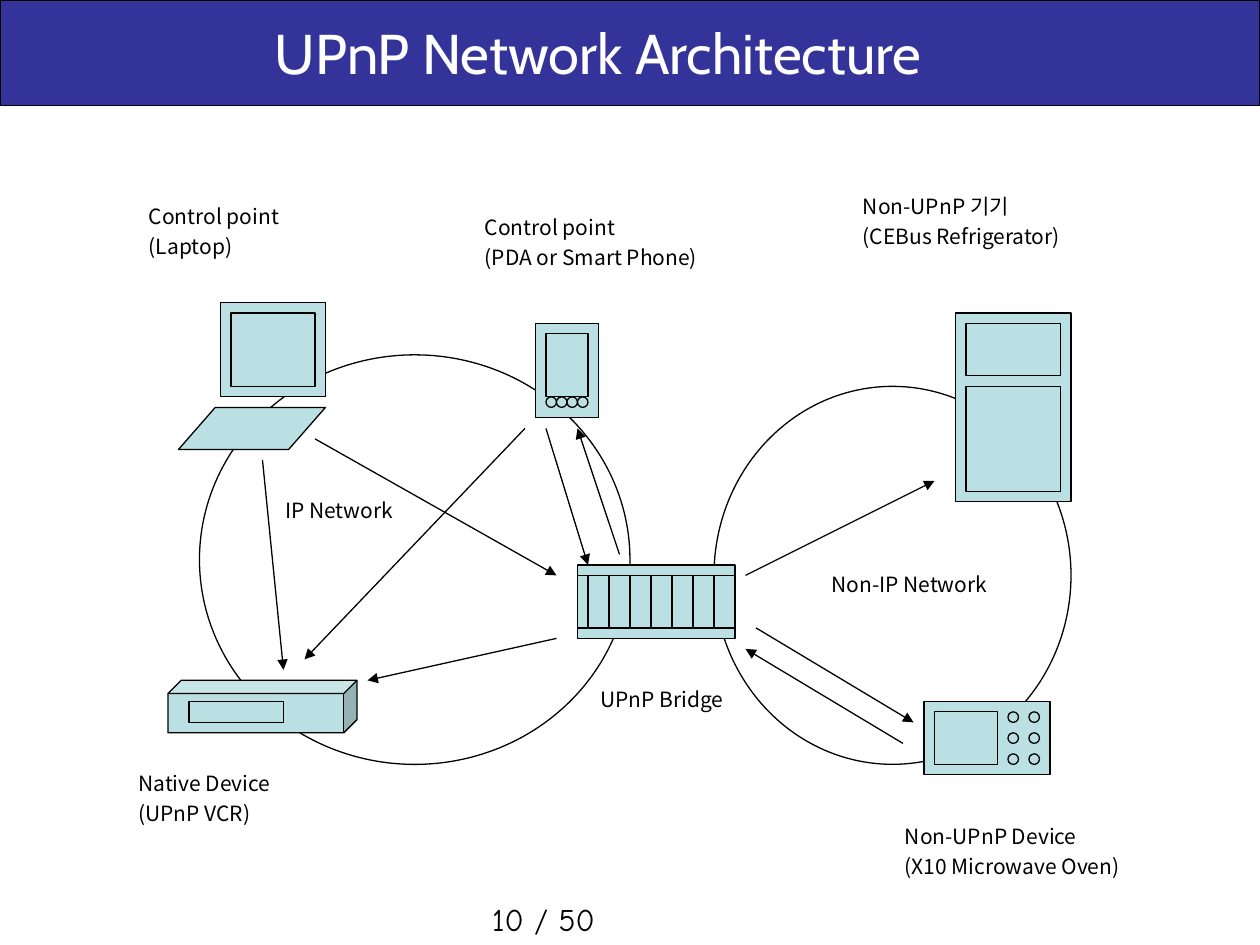
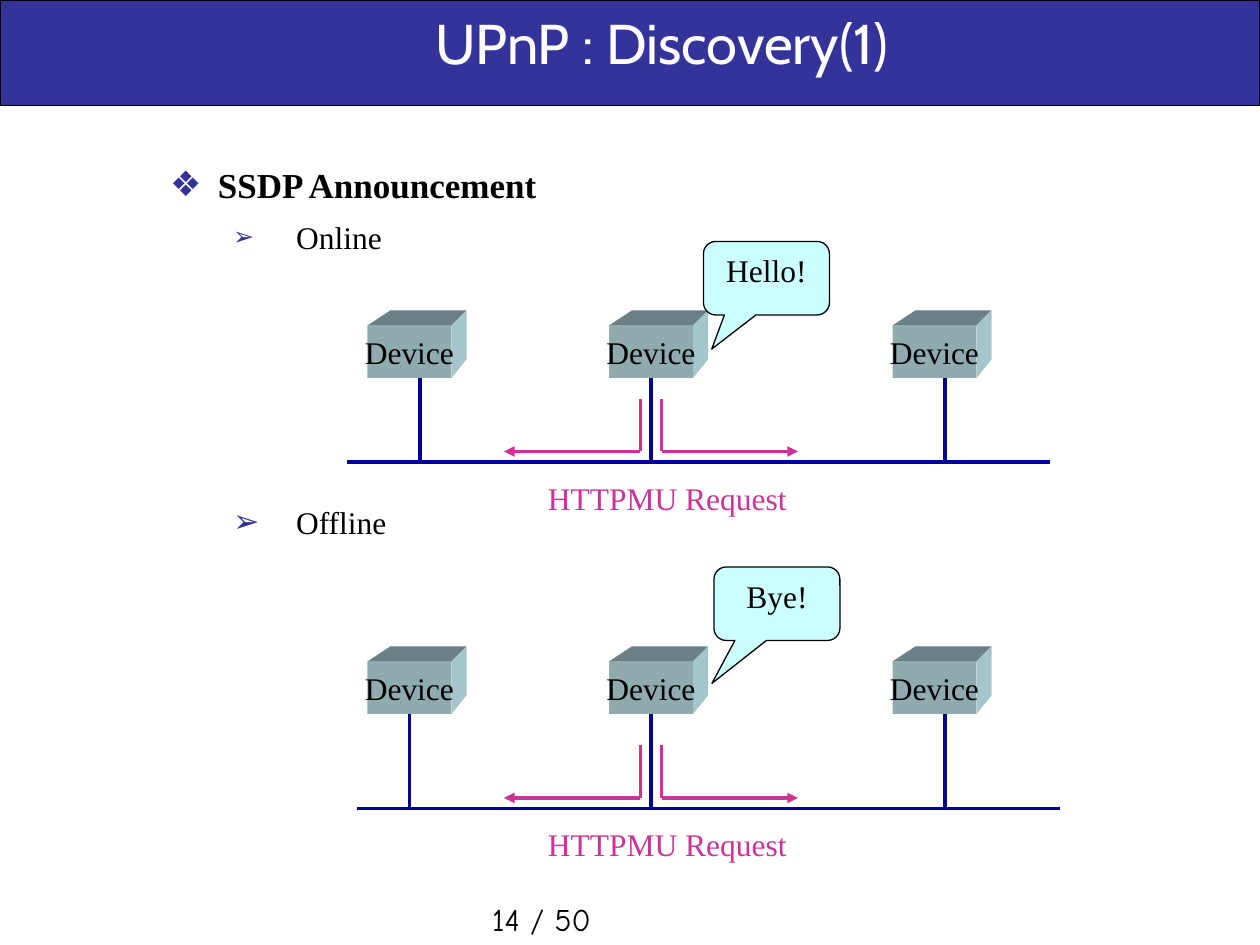
from dataclasses import dataclass
from typing import Any

from lxml import etree
from pptx import Presentation
from pptx import util as u
from pptx.dml.color import RGBColor
from pptx.enum import shapes, text
from pptx.oxml.ns import qn

# The slide is a grid of 120 columns by 90 rows, twelve cells to the inch
COLS, ROWS = 120, 90
CELLS_PER_INCH = 12
BLACK, WHITE = "000000", "FFFFFF"
NAVY, BUS_BLUE, PINK = "333399", "000099", "CC3399"
DEVICE_BLUE, BUBBLE = "BBE0E3", "CCFFFF"
FRONT, TOP, SIDE = "8FABAE", "6B8084", "A4C5C9"
SANS, SERIF = "Noto Sans CJK KR", "Times New Roman"
KIND = shapes.MSO_SHAPE
CENTER = text.PP_ALIGN.CENTER
MIDDLE = text.MSO_ANCHOR.MIDDLE


def cells(count):
    return u.Emu(round(count * u.Inches(1) / CELLS_PER_INCH))


def color(value):
    return RGBColor.from_string(value)


def paint(shape, fill, line):
    shape.shadow.inherit = False
    if fill:
        shape.fill.solid()
        shape.fill.fore_color.rgb = color(fill)
    else:
        shape.fill.background()
    if line:
        shape.line.color.rgb = color(line)
        shape.line.width = u.Pt(0.75)
    else:
        shape.line.fill.background()


def add_run(paragraph, words, size=12, font=SANS, ink=BLACK, bold=False):
    run = paragraph.add_run()
    run.text = words
    run.font.size, run.font.bold, run.font.name = u.Pt(size), bold, font
    run.font.color.rgb = color(ink)
    east_asian = etree.SubElement(run.font._element, qn("a:ea"))
    east_asian.set("typeface", font)


def write(frame, words, align=text.PP_ALIGN.LEFT, anchor=text.MSO_ANCHOR.TOP,
          wrap=True, gap=3, **style):
    """Write one paragraph for each line of the words."""
    frame.word_wrap = wrap
    frame.auto_size = text.MSO_AUTO_SIZE.NONE
    frame.vertical_anchor = anchor
    for index, line in enumerate(words.split("\n")):
        paragraph = frame.add_paragraph() if index else frame.paragraphs[0]
        paragraph.alignment = align
        paragraph.space_before = u.Pt(gap if index else 0)
        add_run(paragraph, line, **style)


def place(shape, col, row, width, height):
    shape.left, shape.top = cells(col), cells(row)
    shape.width, shape.height = cells(width), cells(height)


@dataclass
class Region:
    """A part of a slide whose contents are measured from its corner."""
    slide: Any
    col: float = 0
    row: float = 0

    def inner(self, col, row):
        return Region(self.slide, self.col + col, self.row + row)

    def box(self, col, row, width, height):
        return (cells(self.col + col), cells(self.row + row),
                cells(width), cells(height))

    def shape(self, kind, *box, fill=DEVICE_BLUE, line=BLACK, adjust=()):
        shape = self.slide.shapes.add_shape(kind, *self.box(*box))
        paint(shape, fill, line)
        for index, value in enumerate(adjust):
            shape.adjustments[index] = value
        return shape

    def rect(self, *box, **style):
        return self.shape(KIND.RECTANGLE, *box, **style)

    def oval(self, *box, **style):
        return self.shape(KIND.OVAL, *box, **style)

    def face(self, points, fill):
        corners = [(cells(self.col + x), cells(self.row + y)) for x, y in points]
        builder = self.slide.shapes.build_freeform(*corners[0], scale=1.0)
        builder.add_line_segments(corners[1:], close=True)
        paint(builder.convert_to_shape(), fill, None)

    def label(self, words, *box, **style):
        frame = self.slide.shapes.add_textbox(*self.box(*box)).text_frame
        write(frame, words, **style)

    def line(self, x1, y1, x2, y2, ink=BLACK, weight=0.75, arrow=False):
        line = self.slide.shapes.add_connector(
            shapes.MSO_CONNECTOR.STRAIGHT,
            cells(self.col + x1), cells(self.row + y1),
            cells(self.col + x2), cells(self.row + y2))
        line.line.color.rgb = color(ink)
        line.line.width = u.Pt(weight)
        if arrow:
            etree.SubElement(line.line._ln, qn("a:tailEnd")).set("type", "triangle")
        etree.SubElement(line._element.spPr, qn("a:effectLst"))
        return line


# Shared parts: title band, title and page number
def add_band(prs, slide):
    band = Region(slide).rect(0, 0, COLS, 10.08, fill=NAVY)
    prs.slide_master.shapes.element.insert(2, band.element)


def start_slide(prs, layout, title, title_box, page):
    slide = prs.slides.add_slide(prs.slide_layouts[layout])
    place(slide.shapes.title, *title_box)
    write(slide.shapes.title.text_frame, title, align=CENTER, anchor=MIDDLE,
          size=32, font="Cabin", ink=WHITE)
    Region(slide).label(f"{page} / 50", 45.7, 85.1, 28, 4.3,
                        size=18, font="Comic Neue")
    return slide


# Appliances of the network diagram
def draw_laptop(at):
    at.rect(4, 0, 10, 9)
    at.rect(5, 1, 8, 7)
    at.shape(KIND.PARALLELOGRAM, 0, 10, 14, 4, adjust=[0.875])


def draw_pda(at):
    at.rect(0, 0, 6, 9)
    at.rect(1, 1, 4, 6)
    for button in range(4):
        at.oval(1 + button, 7, 1, 1)


def draw_bridge(at):
    at.rect(0, 0, 15, 7)
    for edge in (1, 6):
        at.line(0, edge, 15, edge)
    for slot in range(1, 15, 2):
        at.line(slot, 1, slot, 6)


def draw_refrigerator(at):
    at.rect(0, 0, 11, 18)
    at.rect(1, 1, 9, 5)
    at.rect(1, 7, 9, 10)


def draw_microwave(at):
    at.rect(0, 0, 12, 7)
    at.rect(1, 1, 6, 5)
    for row in (1, 3, 5):
        for col in (8, 10):
            at.oval(col, row, 1, 1)


def draw_vcr(at):
    at.shape(KIND.CUBE, 0, 0, 18, 5, adjust=[0.25])
    at.rect(2, 2, 9, 2)


def draw_network(at):
    # Networks
    at.oval(19, 34, 41, 39, fill=None)
    at.oval(68, 37, 34, 36, fill=None)

    # Appliances
    for draw, col, row in ((draw_laptop, 17, 29), (draw_pda, 51, 31),
                           (draw_bridge, 55, 54), (draw_refrigerator, 91, 30),
                           (draw_microwave, 88, 67), (draw_vcr, 16, 65)):
        draw(at.inner(col, row))

    # Messages
    for message in ((25, 44, 27, 64), (30, 42, 53, 55), (52, 41, 56, 54),
                    (59, 53, 55, 41), (53, 61, 35, 65), (50, 41, 29, 63),
                    (72, 60, 87, 69), (86, 71, 71, 62), (71, 55, 89, 46)):
        at.line(*message, arrow=True)

    # Labels
    for words, col, row, width in (
            ("IP Network", 26, 47, 17),
            ("Non-IP Network", 78, 54, 20),
            ("Control point\n(Laptop)", 13, 19, 17),
            ("Control point\n(PDA or Smart Phone)", 45, 20, 25),
            ("Non-UPnP 기기\n(CEBus Refrigerator)", 81, 18, 22),
            ("Non-UPnP Device\n(X10 Microwave Oven)", 85, 78, 25),
            ("Native Device\n(UPnP VCR)", 12, 73, 17),
            ("UPnP Bridge", 56, 65, 17)):
        at.label(words, col, row, width, 3.6 * (1 + words.count("\n")))


# Parts of the discovery slide
def draw_device(at):
    at.face([(0, 0), (2.2, -1.45), (9.45, -1.45), (8, 0)], TOP)
    at.face([(8, 0), (9.45, -1.45), (9.45, 3.2), (8, 5)], SIDE)
    front = at.rect(0, 0, 8, 5, fill=FRONT, line=None)
    write(front.text_frame, "Device", align=CENTER, anchor=MIDDLE, wrap=False,
          size=18, font=SERIF)
    return front


def draw_announcement(at, word, bubble, tip, bus_col, bus_row, first_drop):
    # Devices on the bus
    at.line(bus_col, bus_row, bus_col + 67, bus_row, ink=BUS_BLUE, weight=2)
    for col, drop in ((2, first_drop), (25, 29), (52, 57)):
        device = draw_device(at.inner(col, 0))
        wire = at.line(drop, 5, drop, bus_row, ink=BUS_BLUE, weight=2)
        if drop == col + 4:
            wire.begin_connect(device, 2)

    # Spoken word
    speech = at.shape(KIND.ROUNDED_RECTANGULAR_CALLOUT, *bubble, 12, 7,
                      fill=BUBBLE, adjust=[*tip, 0.167])
    write(speech.text_frame, word, align=CENTER, size=18, font=SERIF)

    # Requests sent both ways
    for start, end in ((28, 15), (30, 43)):
        at.line(start, bus_row - 6, start, bus_row - 1, ink=PINK, weight=2)
        at.line(start, bus_row - 1, end, bus_row - 1, ink=PINK, weight=2, arrow=True)
    at.label("HTTPMU Request", 18, bus_row + 1, 27, 4.8,
             size=18, font=SERIF, ink=PINK)


def add_bullet(paragraph, mark, margin, hanging, percent):
    props = paragraph._p.get_or_add_pPr()
    props.set("marL", str(u.Inches(margin)))
    props.set("indent", str(-u.Inches(hanging)))
    tint = etree.SubElement(props, qn("a:buClr"))
    etree.SubElement(tint, qn("a:srgbClr")).set("val", NAVY)
    etree.SubElement(props, qn("a:buSzPct")).set("val", str(percent * 1000))
    etree.SubElement(props, qn("a:buChar")).set("char", mark)


def fill_outline(body):
    place(body, 15, 15, 100, 54)
    frame = body.text_frame
    frame.auto_size = text.MSO_AUTO_SIZE.NONE
    items = (("SSDP Announcement", 0, 0, ("❖", 0.38, 0.38, 100), 20),
             ("Online", 1, 7, ("➢", 1, 0.5, 80), 18),
             ("Offline", 1, 141, ("➢", 1, 0.5, 100), 18))
    for index, (words, level, gap, bullet, size) in enumerate(items):
        paragraph = frame.add_paragraph() if index else frame.paragraphs[0]
        paragraph.level = level
        paragraph.space_before = u.Pt(gap)
        add_bullet(paragraph, *bullet)
        add_run(paragraph, words, size=size, font=SERIF, bold=level == 0)


def add_architecture(prs):
    slide = start_slide(prs, 5, "UPnP Network Architecture", (22, 1.2, 70, 7.6), 10)
    add_band(prs, slide)
    draw_network(Region(slide, 0, -0.2))


def add_discovery(prs):
    slide = start_slide(prs, 1, "UPnP : Discovery(1)", (13, 0, 100, 8), 14)
    fill_outline(slide.placeholders[1])
    draw_announcement(Region(slide, 33, 31), "Hello!", (34, -8), (-0.434, 0.964),
                      bus_col=0, bus_row=13, first_drop=7)
    draw_announcement(Region(slide, 33, 63), "Bye!", (35, -9), (-0.516, 1.083),
                      bus_col=1, bus_row=14, first_drop=6)


def main():
    prs = Presentation()
    prs.slide_width, prs.slide_height = cells(COLS), cells(ROWS)
    add_architecture(prs)
    add_discovery(prs)
    prs.save("out.pptx")


if __name__ == "__main__":
    main()
